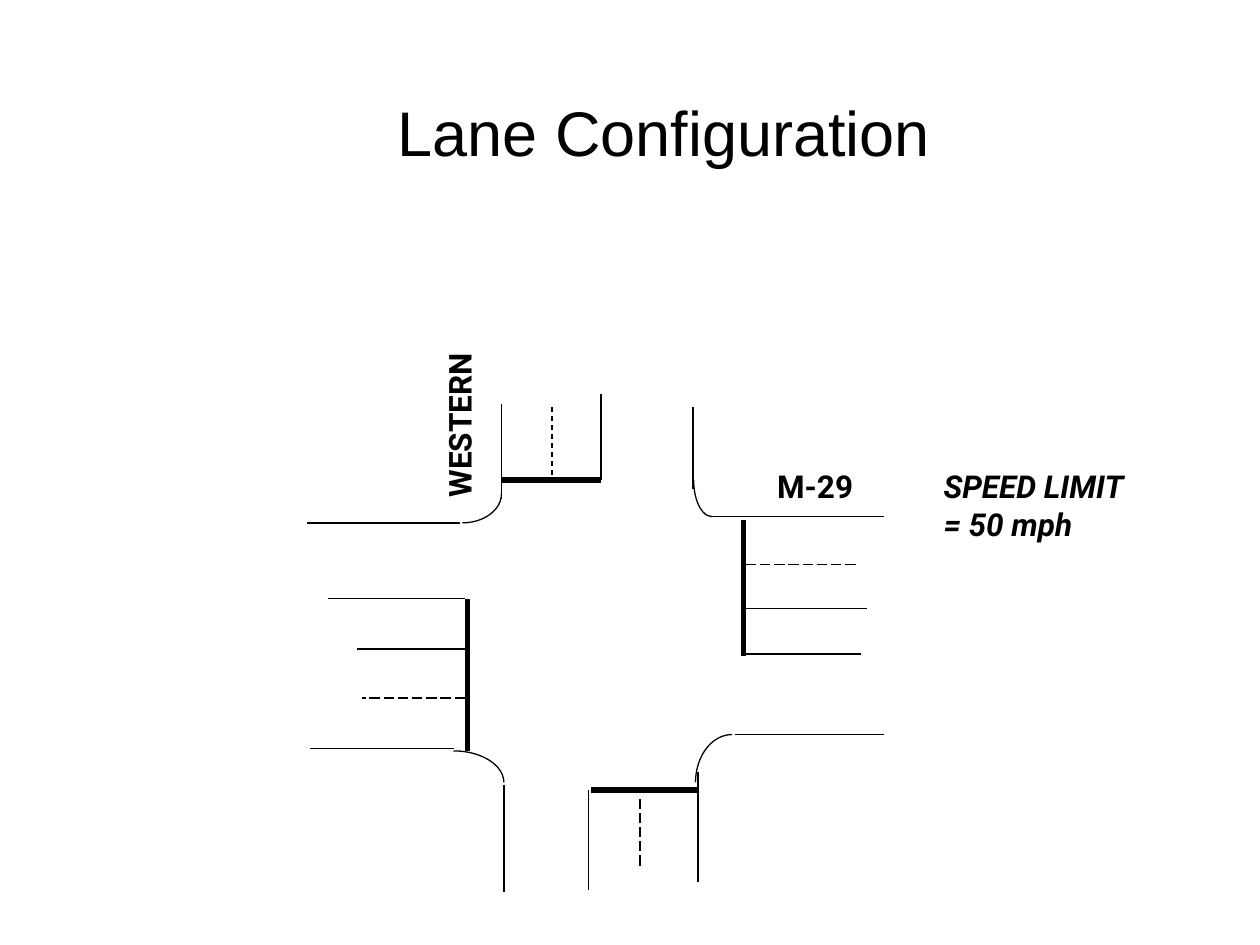
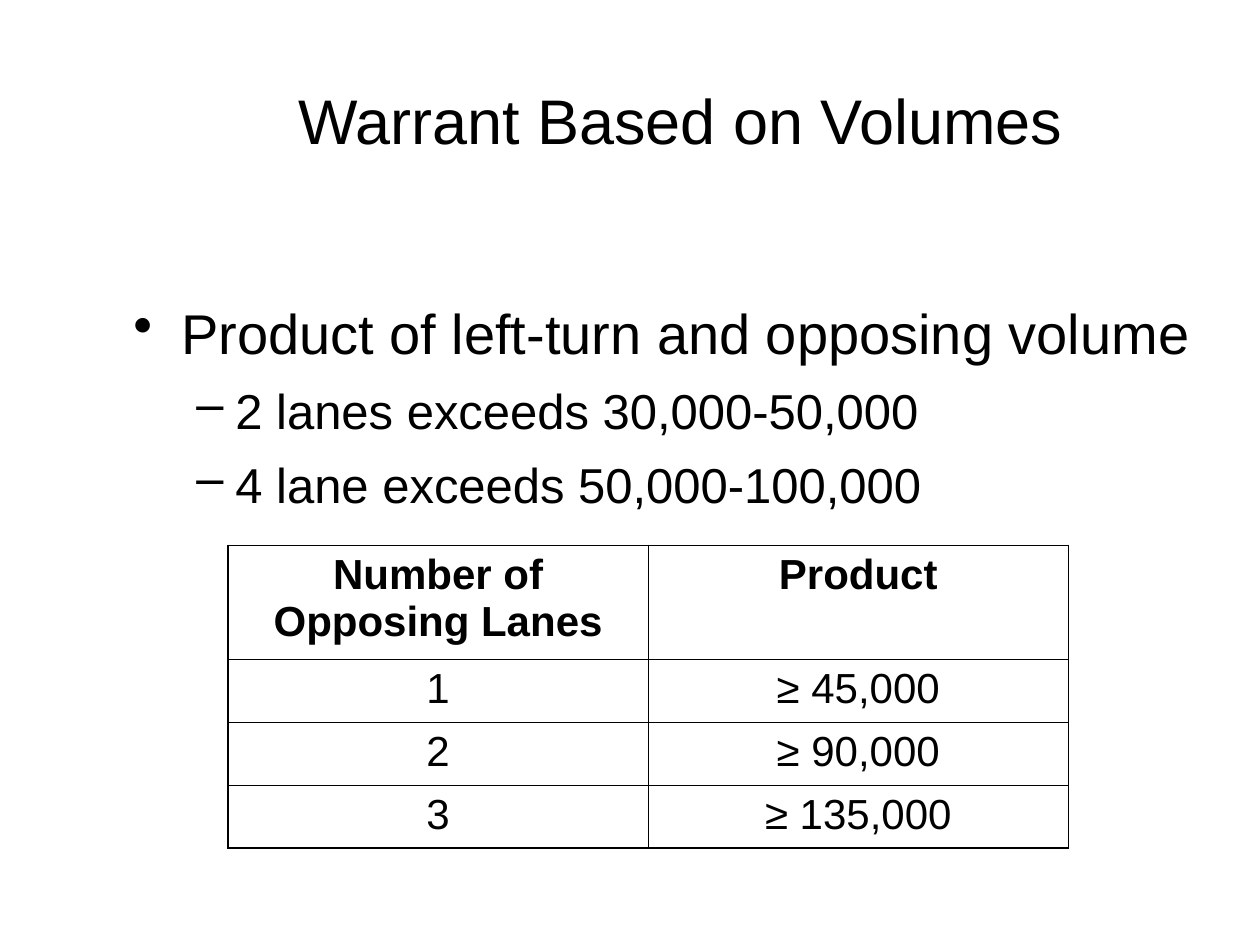
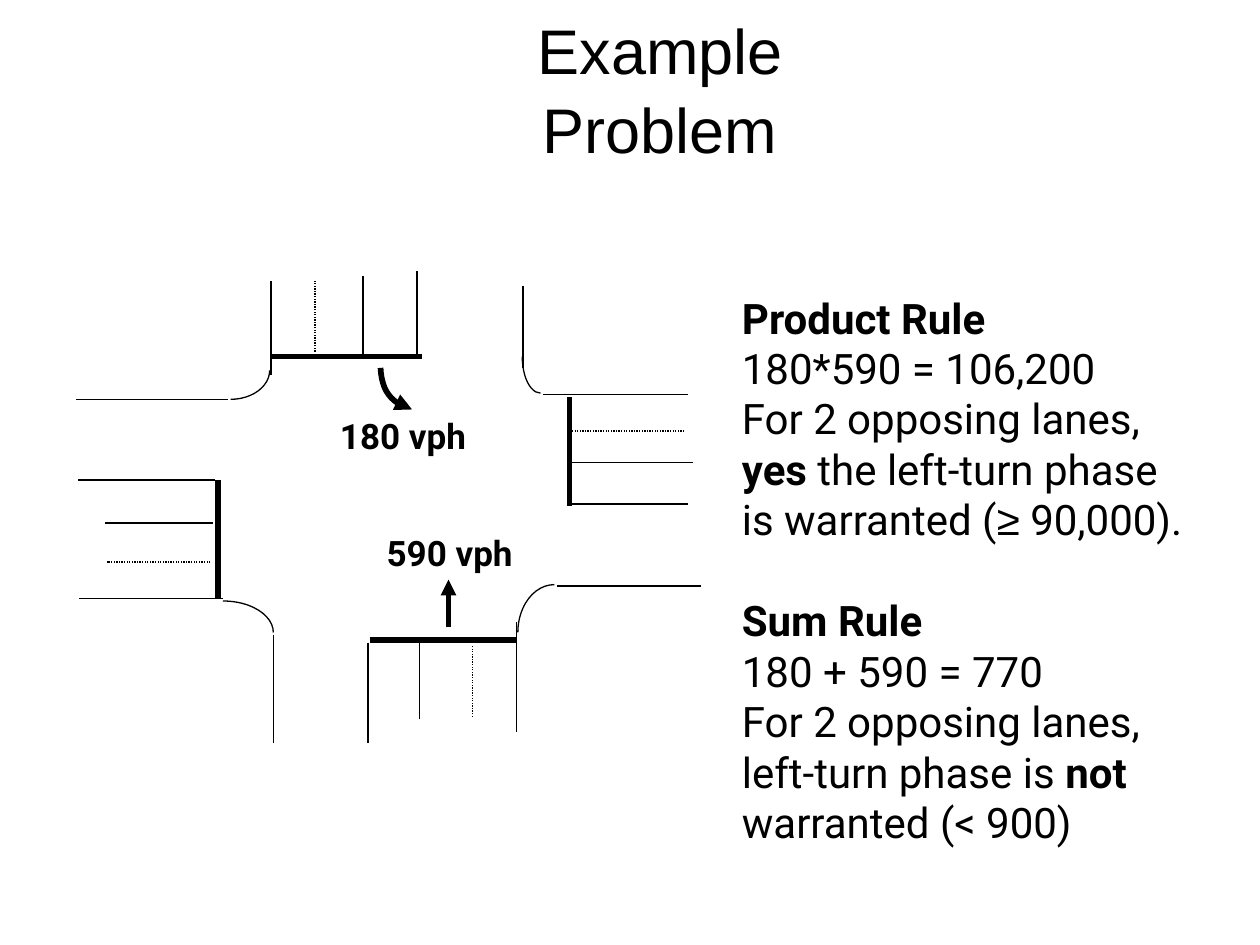
from lxml import etree
from pptx import Presentation
from pptx.dml.color import RGBColor
from pptx.enum.dml import MSO_LINE
from pptx.enum.shapes import MSO_CONNECTOR, MSO_SHAPE
from pptx.enum.text import MSO_ANCHOR, MSO_AUTO_SIZE, PP_ALIGN
from pptx.oxml.ns import qn
from pptx.util import Pt

PX = 9144  # EMU per px, 100 px to the inch
BLACK = RGBColor(0, 0, 0)
WHITE = RGBColor(255, 255, 255)
SANS, LABEL = "Arial", "Roboto"
THIN, THICK = 0.75, 3.25
LEADING = 1.05

# Corner arcs: radii and the start and end angles of the kerb
KERBS = {
    "NW": (31, 23, 0, 90),
    "SW": (40, 25, 270, 0),
    "NE": (14.5, 29, 90, 180),
    "SE": (29, 38, 180, 270),
}


def emu(*lengths):
    return [round(n * PX) for n in lengths]


def style_font(font, size, name, bold=False, italic=False):
    font.size, font.name = Pt(size), name
    font.bold, font.italic = bold, italic
    font.color.rgb = BLACK


def add_arrowhead(sp):
    ln = sp._element.spPr.find(qn("a:ln"))
    etree.SubElement(ln, qn("a:tailEnd"), type="triangle")


def style_line(line, width, dash=None):
    line.color.rgb = BLACK
    line.width = Pt(width)
    if dash:
        line.dash_style = dash


def add_line(slide, box, ends, width=THIN, dash=None, arrow=False):
    x, y = box
    x1, y1, x2, y2 = ends
    c = slide.shapes.add_connector(
        MSO_CONNECTOR.STRAIGHT, *emu(x + x1, y + y1, x + x2, y + y2))
    style_line(c.line, width, dash)
    if arrow:
        add_arrowhead(c)
    etree.SubElement(c._element.spPr, qn("a:effectLst"))


def add_textbox(slide, box, wrap=True, anchor=MSO_ANCHOR.TOP):
    sp = slide.shapes.add_textbox(*emu(*box))
    tf = sp.text_frame
    tf.word_wrap = wrap
    tf.vertical_anchor = anchor
    tf.auto_size = MSO_AUTO_SIZE.NONE if wrap else MSO_AUTO_SIZE.SHAPE_TO_FIT_TEXT
    return sp


def add_title(slide, box, text, anchor=MSO_ANCHOR.BOTTOM):
    p = add_textbox(slide, box, anchor=anchor).text_frame.paragraphs[0]
    p.text = text
    p.alignment = PP_ALIGN.CENTER
    p.line_spacing = LEADING
    style_font(p.runs[0].font, 36, SANS)


def add_label(slide, box, text, size=18, italic=False, rotation=0):
    sp = add_textbox(slide, box, wrap=False)
    sp.rotation = rotation
    sp.text_frame.text = text
    for p in sp.text_frame.paragraphs:
        style_font(p.runs[0].font, size, LABEL, True, italic)


def add_kerb(slide, box, corner, centre):
    rx, ry, start, end = KERBS[corner]
    x, y = box[0] + centre[0], box[1] + centre[1]
    sp = slide.shapes.add_shape(
        MSO_SHAPE.ARC, *emu(x - rx, y - ry, 2 * rx, 2 * ry))
    sp.adjustments[0], sp.adjustments[1] = start * 0.6, end * 0.6
    sp.fill.background()
    style_line(sp.line, THIN)
    sp.shadow.inherit = False


def add_intersection(slide, box, roads, stop_bars, dashes, kerbs):
    for ends in roads:
        add_line(slide, box, ends)
    for ends in stop_bars:
        add_line(slide, box, ends, THICK)
    for dash, lines in dashes.items():
        for ends in lines:
            add_line(slide, box, ends, dash=dash)
    for corner, centre in kerbs.items():
        add_kerb(slide, box, corner, centre)


def add_turn_arrow(slide, box, curve, steps=12):
    """Draw a cubic curve through four control points, with an arrowhead."""
    points = []
    for i in range(steps + 1):
        t = i / steps
        weights = (1 - t) ** 3, 3 * t * (1 - t) ** 2, 3 * t * t * (1 - t), t ** 3
        points.append(emu(*(box[k] + sum(w * c[k] for w, c in zip(weights, curve))
                            for k in (0, 1))))
    fb = slide.shapes.build_freeform(*points[0])
    fb.add_line_segments(points[1:], close=False)
    sp = fb.convert_to_shape()
    sp.fill.background()
    style_line(sp.line, THICK)
    add_arrowhead(sp)
    sp.shadow.inherit = False


def add_bullets(slide, box, items):
    # Per level: bullet, left margin, hanging indent, size, space before
    levels = [("•", 38, 38, 32, 8), ("–", 81, 31, 28, 7)]
    tf = add_textbox(slide, box).text_frame
    tf.text = "\n".join(text for level, text in items)
    for i, (p, (level, text)) in enumerate(zip(tf.paragraphs, items)):
        char, margin, hang, size, before = levels[level]
        p.level = level
        p.line_spacing = LEADING
        if i:
            p.space_before = Pt(before)
        pPr = p._p.get_or_add_pPr()
        pPr.set("marL", str(margin * PX))
        pPr.set("indent", str(-hang * PX))
        etree.SubElement(pPr, qn("a:buChar"), char=char)
        style_font(p.runs[0].font, size, SANS)


def set_borders(cell, widths):
    tcPr = cell._tc.get_or_add_tcPr()
    for i, (side, width) in enumerate(zip("LRTB", widths)):
        ln = etree.Element(qn(f"a:ln{side}"), w=str(Pt(width)))
        fill = etree.SubElement(ln, qn("a:solidFill"))
        etree.SubElement(fill, qn("a:srgbClr"), val=str(BLACK))
        tcPr.insert(i, ln)


def add_product_table(slide, box, rows, heights):
    outer, inner = 1.08, 0.45
    n_rows, n_cols = len(rows), len(rows[0])
    table = slide.shapes.add_table(n_rows, n_cols, *emu(*box)).table
    table.first_row = table.horz_banding = False
    for col in table.columns:
        col.width = emu(box[2] / n_cols)[0]
    for r, values in enumerate(rows):
        table.rows[r].height = heights[r] * PX
        for c, value in enumerate(values):
            cell = table.cell(r, c)
            cell.fill.background()
            edges = c == 0, c == n_cols - 1, r == 0, r == n_rows - 1
            set_borders(cell, [outer if e else inner for e in edges])
            cell.margin_left = cell.margin_right = 10 * PX
            cell.margin_top = cell.margin_bottom = 5 * PX
            cell.text = value
            p = cell.text_frame.paragraphs[0]
            p.alignment = PP_ALIGN.CENTER
            style_font(p.runs[0].font, 24, SANS, bold=r == 0)


def add_rules(slide, box, rules):
    """Write each rule as lines of (text, bold) runs, a line apart."""
    tf = add_textbox(slide, box, wrap=False).text_frame
    p = None
    for rule in rules:
        for i, line in enumerate(rule):
            first = p is None
            p = tf.paragraphs[0] if first else tf.add_paragraph()
            if i == 0 and not first:
                p.space_before = Pt(29)
            for text, bold in line:
                r = p.add_run()
                r.text = text
                style_font(r.font, 24, SANS if text == "≥" else LABEL, bold)


def lane_slide(slide):
    add_title(slide, (101, 70, 852, 65), "Lane Configuration", MSO_ANCHOR.MIDDLE)
    add_intersection(
        slide, (244, 313),
        roads=[
            (154, 8, 154, 83), (121, 102, 0, 102), (306, 10, 306, 75),
            (116, 281, 2, 281), (156, 310, 156, 395), (310, 300, 310, 387),
            (321, 97, 458, 97), (339, 270, 458, 270), (125, 162, 16, 162),
            (233, 68, 233, 0), (348, 206, 439, 206), (223, 314, 223, 393),
            (125, 202, 39, 202), (346, 170, 444, 170)],
        stop_bars=[(154, 68, 233, 68), (225, 314, 310, 314),
                   (127, 162, 127, 283), (346, 100, 346, 208)],
        dashes={
            MSO_LINE.DASH: [(194, 64, 194, 8)],
            MSO_LINE.LONG_DASH: [(264, 374, 264, 318), (125, 241, 43, 241),
                                 (348, 135, 437, 135)]},
        kerbs={"NW": (123, 79), "SW": (116, 308),
               "NE": (321, 68), "SE": (337, 308)})
    # Road names and speed limit
    add_label(slide, (607, 366, 80, 40), "M-29")
    add_label(slide, (296, 316, 137, 40), "WESTERN", rotation=270)
    add_label(slide, (739, 366, 166, 70), "SPEED LIMIT\n= 50 mph", italic=True)


def warrant_slide(slide):
    add_bullets(slide, (96, 229, 871, 200), [
        (0, "Product of left-turn and opposing volume"),
        (1, "2 lanes exceeds 30,000-50,000"),
        (1, "4 lane exceeds 50,000-100,000")])
    add_title(slide, (194, 54, 692, 76), "Warrant Based on Volumes")
    add_product_table(slide, (181, 433, 667, 240), [
        ("Number of Opposing Lanes", "Product"),
        ("1", "≥ 45,000"),
        ("2", "≥ 90,000"),
        ("3", "≥ 135,000")], heights=(90, 50, 50, 50))


def example_slide(slide):
    add_title(slide, (321, 63, 406, 74), "Example Problem")
    box = (60, 215)
    add_intersection(
        slide, box,
        roads=[
            (155, 8, 155, 83), (121, 102, 0, 102), (355, 12, 355, 77),
            (117, 260, 3, 260), (157, 289, 157, 375), (350, 279, 350, 366),
            (371, 98, 486, 98), (382, 250, 496, 250), (111, 166, 2, 166),
            (271, 68, 271, 0), (394, 185, 486, 185), (232, 295, 232, 375),
            (228, 66, 228, 4), (273, 356, 273, 293), (109, 200, 23, 200),
            (392, 152, 490, 152)],
        stop_bars=[(155, 68, 275, 68), (234, 293, 350, 293),
                   (113, 166, 113, 260), (392, 100, 392, 187)],
        dashes={MSO_LINE.ROUND_DOT: [
            (190, 64, 190, 8), (315, 354, 315, 298),
            (107, 231, 25, 231), (394, 127, 484, 127)]},
        kerbs={"NW": (123, 79), "SW": (117, 287),
               "NE": (369, 68), "SE": (380, 287)})
    # Traffic movements
    add_turn_arrow(slide, box, [(242, 77), (243, 95), (250, 105), (267, 110)])
    add_line(slide, box, (296, 283, 296, 245), 3, arrow=True)
    add_label(slide, (260, 324, 126, 44), "180 vph", 20)
    add_label(slide, (297, 417, 126, 44), "590 vph", 20)
    # Worked rules
    add_rules(slide, (579, 227, 393, 450), [
        [[("Product Rule", True)],
         [("180*590 = 106,200", False)],
         [("For 2 opposing lanes,", False)],
         [("yes", True), (" the left-turn phase", False)],
         [("is warranted (", False), ("≥", False), (" 90,000).", False)]],
        [[("Sum Rule", True)],
         [("180 + 590 = 770", False)],
         [("For 2 opposing lanes,", False)],
         [("left-turn phase is ", False), ("not", True)],
         [("warranted (< 900)", False)]]])


def main():
    prs = Presentation()
    prs.slide_width, prs.slide_height = emu(1000, 750)
    for build in (lane_slide, warrant_slide, example_slide):
        slide = prs.slides.add_slide(prs.slide_layouts[6])
        slide.background.fill.solid()
        slide.background.fill.fore_color.rgb = WHITE
        build(slide)
    prs.save("out.pptx")


if __name__ == "__main__":
    main()
